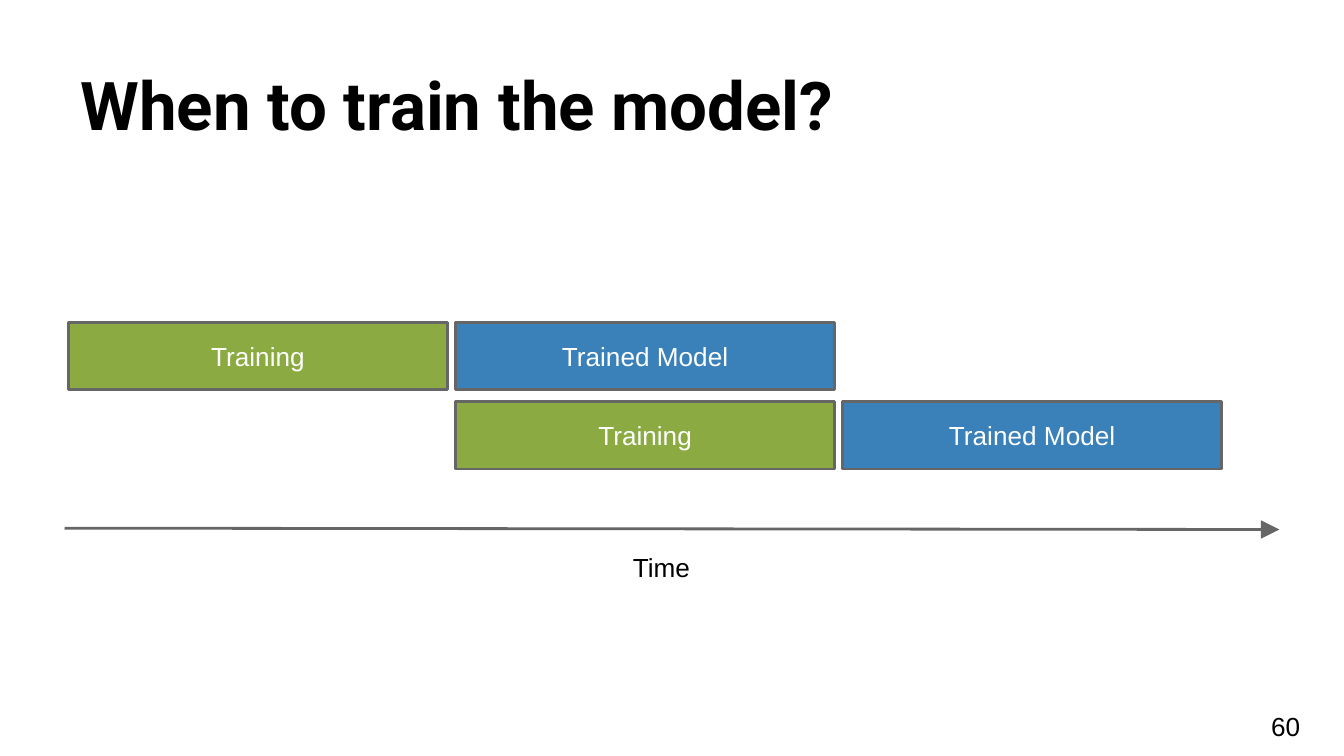
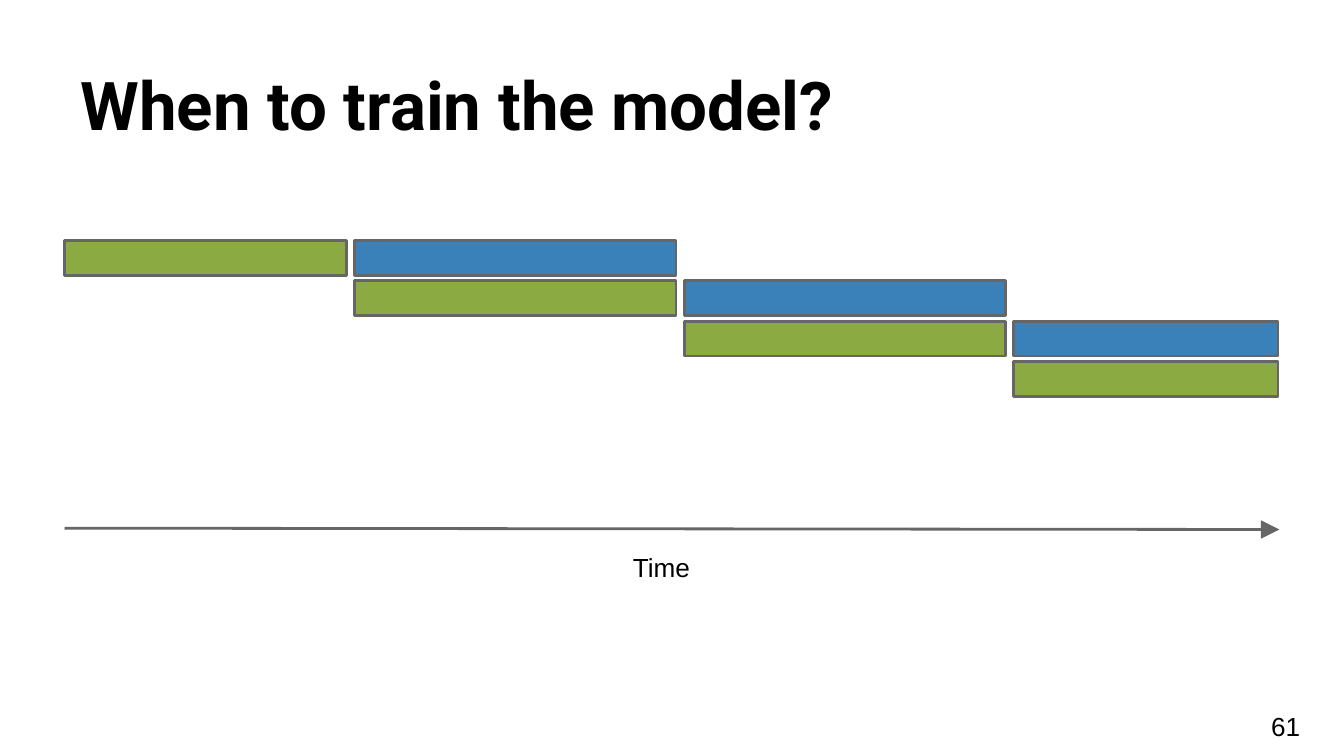
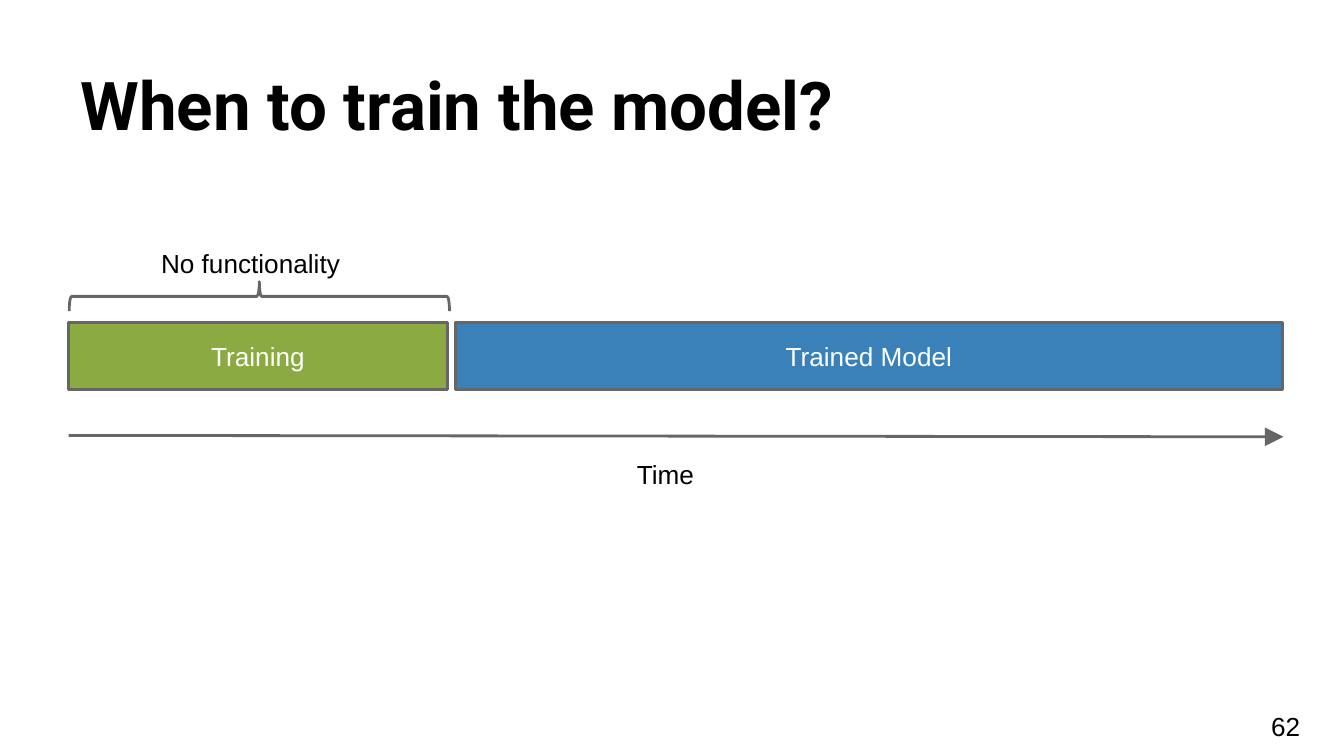
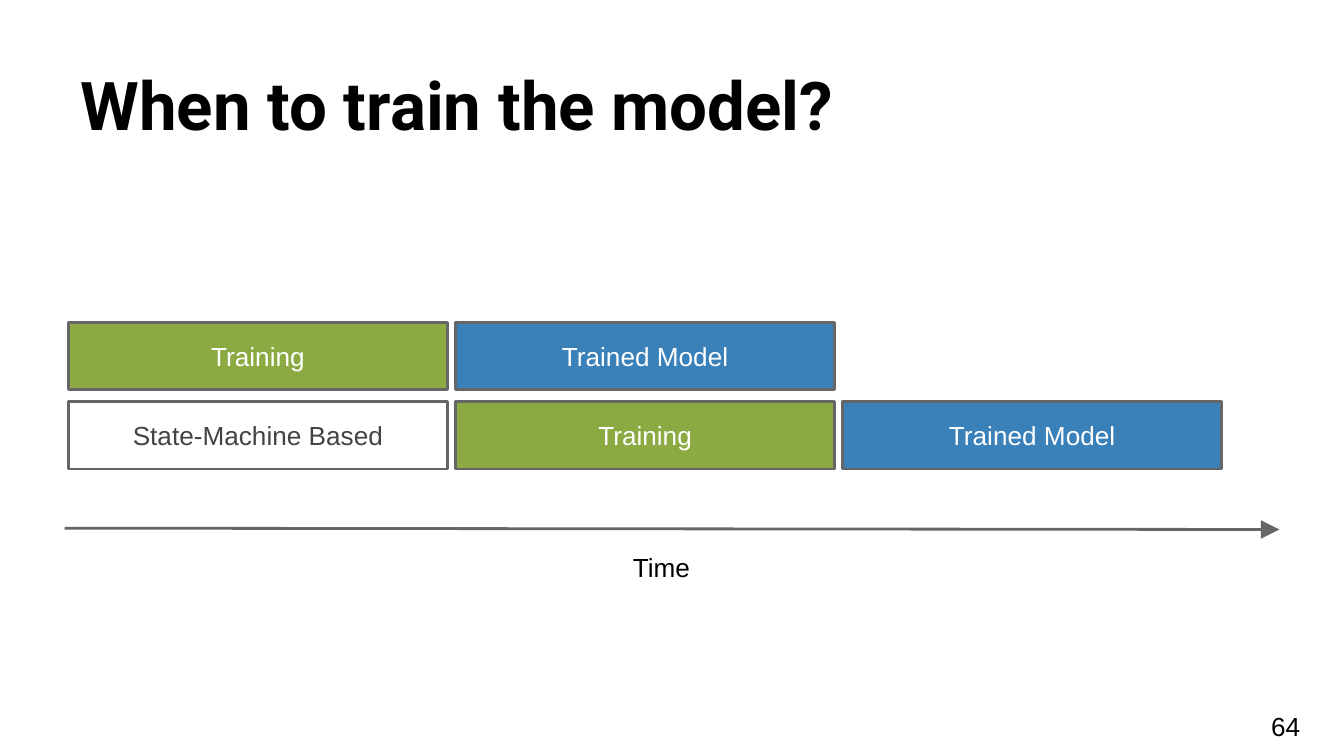
"""Build four slides on when to train a model, each a timeline of training and use."""
from dataclasses import dataclass
from itertools import accumulate

from lxml.etree import SubElement
from pptx import Presentation
from pptx.dml.color import RGBColor
from pptx.enum.shapes import MSO_CONNECTOR, MSO_SHAPE
from pptx.enum.text import MSO_ANCHOR, PP_ALIGN
from pptx.oxml.ns import qn
from pptx.slide import Slide
from pptx.text.text import TextFrame
from pptx.util import Inches, Pt

COLORS = {
    "black": "000000",
    "white": "FFFFFF",
    "label": "434343",
    "outline": "666666",
    "training": "8BAB42",
    "model": "3A81BA",
}
TITLE = "When to train the model?"
LINE_WIDTH = Pt(1.5)
PHASE_LEFT, PHASE_TOP = 0.51, 2.4
PHASE_WIDTH, PHASE_HEIGHT = 2.82, 0.5
COLUMN_STEP, ROW_STEP = 2.88, 0.59
AXIS_LEFT, AXIS_TOP = 0.48, 3.93


@dataclass(frozen=True)
class Phase:
    """A bar on the timeline, with lengths in inches."""

    left: float
    top: float
    width: float
    height: float
    fill: str
    text: str = ""
    text_color: str = "white"


def color(name: str) -> RGBColor:
    """Look up a colour by name."""
    return RGBColor.from_string(COLORS[name])


def write(frame: TextFrame, text: str, *, size: float = 14, font: str = "Arial",
          ink: str = "black", bold: bool = False, align: PP_ALIGN = PP_ALIGN.LEFT,
          anchor: MSO_ANCHOR = MSO_ANCHOR.TOP) -> None:
    """Fill a text frame with one formatted line."""
    frame.word_wrap = True
    frame.vertical_anchor = anchor
    frame.margin_left = frame.margin_right = Inches(0.1)
    frame.margin_top = frame.margin_bottom = Inches(0.1)
    paragraph = frame.paragraphs[0]
    paragraph.alignment = align
    run = paragraph.add_run()
    run.text = text
    run.font.size = Pt(size)
    run.font.name = font
    run.font.bold = bold
    run.font.color.rgb = color(ink)


def add_label(slide: Slide, text: str, left: float, top: float, width: float,
              height: float = 0.48, **text_format) -> None:
    """Add a text box."""
    label = slide.shapes.add_textbox(Inches(left), Inches(top), Inches(width), Inches(height))
    write(label.text_frame, text, **text_format)


def add_phase(slide: Slide, phase: Phase) -> None:
    """Draw one bar of the timeline."""
    bar = slide.shapes.add_shape(
        MSO_SHAPE.RECTANGLE, Inches(phase.left), Inches(phase.top),
        Inches(phase.width), Inches(phase.height))
    bar.shadow.inherit = False
    bar.fill.solid()
    bar.fill.fore_color.rgb = color(phase.fill)
    bar.line.color.rgb = color("outline")
    bar.line.width = LINE_WIDTH
    if phase.text:
        write(bar.text_frame, phase.text, ink=phase.text_color,
              align=PP_ALIGN.CENTER, anchor=MSO_ANCHOR.MIDDLE)


def add_time_axis(slide: Slide, left: float = AXIS_LEFT, top: float = AXIS_TOP) -> None:
    """Draw the time arrow with its label below."""
    axis = slide.shapes.add_connector(
        MSO_CONNECTOR.STRAIGHT, Inches(left), Inches(top),
        Inches(left + 9.04), Inches(top + 0.01))
    axis.line.color.rgb = color("outline")
    axis.line.width = LINE_WIDTH
    SubElement(axis.line._get_or_add_ln(), qn("a:tailEnd"), type="triangle", w="lg", len="lg")
    SubElement(axis._element.spPr, qn("a:effectLst"))
    add_label(slide, "Time", left + 4.13, top + 0.07, 0.72)


def add_brace(slide: Slide) -> None:
    """Mark the first training phase with a brace and its caption."""
    brace = slide.shapes.add_shape(
        MSO_SHAPE.RIGHT_BRACE, Inches(1.82), Inches(0.79), Inches(0.22), Inches(2.83))
    brace.rotation = 270
    brace.adjustments[0] = 0.08
    brace.adjustments[1] = 0.5
    brace.shadow.inherit = False
    brace.fill.background()
    brace.line.color.rgb = color("outline")
    brace.line.width = LINE_WIDTH
    add_label(slide, "No functionality", 1.1, 1.74, 1.94)


def grid_phase(column: int, row: int, fill: str, text: str,
               width: float = PHASE_WIDTH, text_color: str = "white") -> Phase:
    """Place a labelled phase on the column and row grid."""
    return Phase(PHASE_LEFT + column * COLUMN_STEP, PHASE_TOP + row * ROW_STEP,
                 width, PHASE_HEIGHT, fill, text, text_color)


def training(column: int, row: int) -> Phase:
    """Describe a training phase."""
    return grid_phase(column, row, "training", "Training")


def trained_model(column: int, row: int, width: float = PHASE_WIDTH) -> Phase:
    """Describe a phase in which the trained model is used."""
    return grid_phase(column, row, "model", "Trained Model", width)


def retraining_cascade() -> list[Phase]:
    """Describe repeated training, each round beside the model of the round before."""
    widths = [2.1, 2.39, 2.39, 1.97]
    gap, top, row_step, height = 0.06, 1.79, 0.3, 0.26
    lefts = accumulate((width + gap for width in widths), initial=AXIS_LEFT)
    phases = []
    for cycle, (left, width) in enumerate(zip(lefts, widths)):
        row_top = top + cycle * row_step
        if cycle:
            phases.append(Phase(left, row_top - row_step, width, height, "model"))
        phases.append(Phase(left, row_top, width, height, "training"))
    return phases


def add_timeline_slide(deck: Presentation, number: int, phases: list[Phase],
                       axis_left: float = AXIS_LEFT, axis_top: float = AXIS_TOP) -> Slide:
    """Add a slide with title, page number, phases and time axis."""
    slide = deck.slides.add_slide(deck.slide_layouts[6])
    slide.background.fill.solid()
    slide.background.fill.fore_color.rgb = color("white")
    add_label(slide, TITLE, 0.5, 0.23, 9, 0.94, size=36, font="Roboto", bold=True,
              anchor=MSO_ANCHOR.BOTTOM)
    add_label(slide, str(number), 9.36, 5.19, 0.6, 0.43, anchor=MSO_ANCHOR.MIDDLE)
    for phase in phases:
        add_phase(slide, phase)
    add_time_axis(slide, axis_left, axis_top)
    return slide


def main() -> None:
    """Build and save the deck."""
    deck = Presentation()
    deck.slide_width = Inches(10)
    deck.slide_height = Inches(10 * 9 / 16)
    two_rounds = [training(0, 0), trained_model(1, 0), training(1, 1), trained_model(2, 1)]
    state_machine = grid_phase(0, 1, "white", "State-Machine Based", text_color="label")

    add_timeline_slide(deck, 60, two_rounds)
    add_timeline_slide(deck, 61, retraining_cascade())
    single_round = add_timeline_slide(
        deck, 62, [training(0, 0), trained_model(1, 0, 6.15)], PHASE_LEFT, 3.24)
    add_brace(single_round)
    add_timeline_slide(deck, 64, [*two_rounds, state_machine])
    deck.save("out.pptx")


if __name__ == "__main__":
    main()
